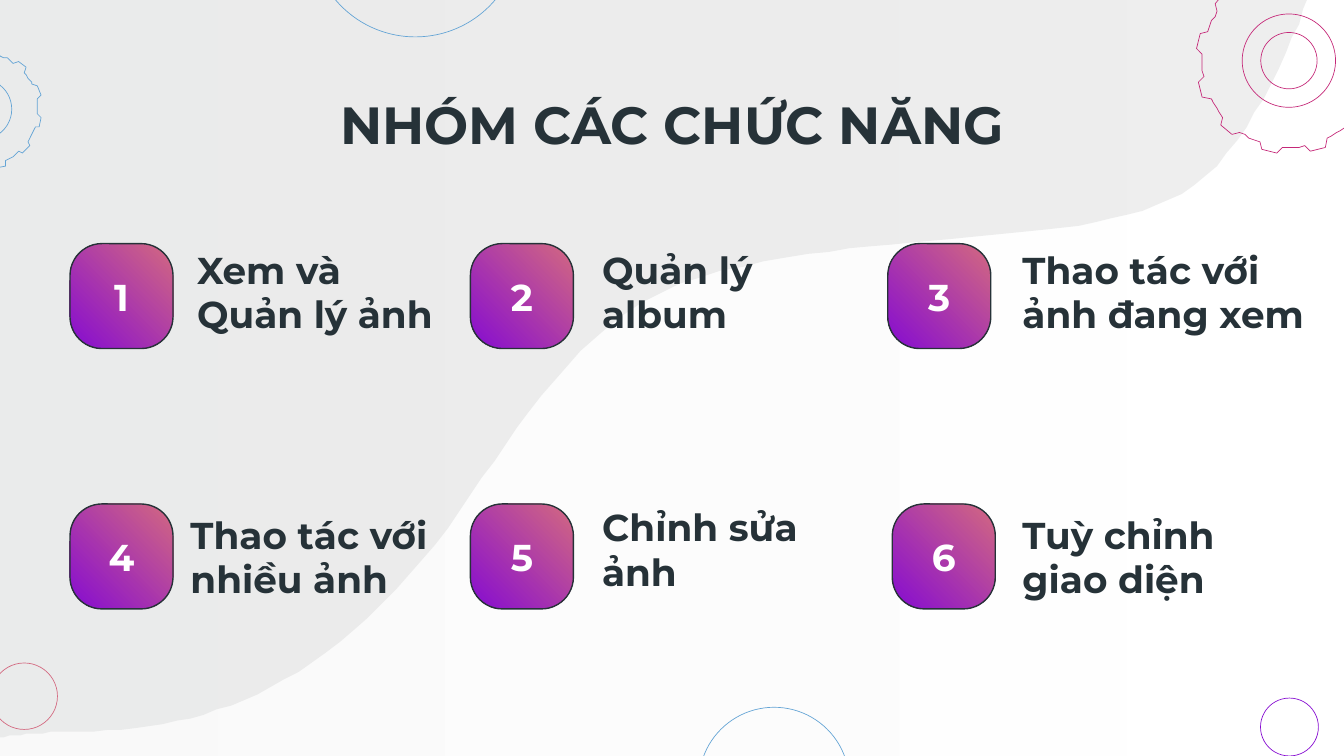
from math import cos, radians, sin

from lxml.etree import SubElement
from pptx import Presentation
from pptx.dml.color import RGBColor
from pptx.enum.shapes import MSO_SHAPE as SHAPE
from pptx.enum.text import MSO_ANCHOR as ANCHOR, PP_ALIGN as ALIGN
from pptx.oxml.ns import qn
from pptx.util import Pt

COLORS = {
    "ink": "263238", "white": "FFFFFF", "mist": "F3F3F3", "wave": "D6D7D7",
    "rose": "D36980", "violet": "860CD1", "blue": "63A4D5", "pink": "C52878",
}
FONT = "Montserrat"
TILE_SIZE = (55.2, 56.2)

# Number: tile left, tile top, label left, label top, label width, label height, label
FUNCTIONS = [
    (37.5, 130.5, 98.5, 126.7, 144, 59, "Xem và Quản lý ảnh"),
    (252, 130.5, 315.5, 126.7, 144, 59, "Quản lý album"),
    (475.6, 130.5, 540.7, 126.7, 168.5, 59, "Thao tác với ảnh đang xem"),
    (37.5, 270, 95, 270, 144, 56.2, "Thao tác với nhiều ảnh"),
    (252, 270, 315.5, 270, 144, 48.2, "Chỉnh sửa ảnh"),
    (478, 270, 540.7, 270, 144, 56.2, "Tuỳ chỉnh giao diện"),
]
# Center x, center y, radius, color
RINGS = [
    (690.8, 389.5, 15.5, "violet"),
    (13, 373, 17.8, "rose"),
    (414.7, 419.2, 40.3, "blue"),
    (222.5, -36.2, 56, "blue"),
    (690.5, 32.5, 15.1, "pink"),
]
# Center x, center y, outer radius, color
GEARS = [(-10, 58.5, 32.6, "blue"), (690.5, 32.5, 50, "pink")]

WAVE_START = [(-34.6, 406.8), (-13.7, -69.8), (712, -37.4)]
WAVE_CURVES = [
    [(710, -30.2), (681, 82.8), (626.4, 107.3)],
    [(569.5, 132.5), (480.2, 122.4), (385.9, 145.4)],
    [(291.6, 167.8), (267.1, 264.2), (204.5, 324)],
    [(142.6, 383.8), (90.7, 391.7), (26.6, 392.4)],
    [(-0.7, 393.1), (-20.2, 399.6), (-34.6, 406.8)],
]


def rgb(name):
    return RGBColor.from_string(COLORS[name])


def set_alpha(fill, percent):
    for color in fill._xPr.iter(qn("a:srgbClr")):
        SubElement(color, qn("a:alpha")).set("val", str(percent * 1000))


def set_gradient(shape, first, last, angle):
    shape.fill.gradient()
    shape.fill.gradient_angle = angle
    for stop, name in zip(shape.fill.gradient_stops, (first, last)):
        stop.color.rgb = rgb(name)


def set_line(shape, name, width):
    shape.line.color.rgb = rgb(name)
    shape.line.width = Pt(width)


def add_preset(page, kind, left, top, width, height):
    shape = page.shapes.add_shape(kind, Pt(left), Pt(top), Pt(width), Pt(height))
    shape.shadow.inherit = False
    return shape


def add_outline(page, points):
    builder = page.shapes.build_freeform(*points[0], scale=Pt(1))
    builder.add_line_segments(points[1:], close=True)
    shape = builder.convert_to_shape()
    shape.shadow.inherit = False
    return shape


def write(box, text, size=20, color="ink", align=ALIGN.LEFT, inset=7.2):
    frame = box.text_frame
    frame.word_wrap = True
    frame.vertical_anchor = ANCHOR.MIDDLE
    frame.margin_left = frame.margin_right = Pt(inset)
    frame.margin_top = frame.margin_bottom = Pt(inset)
    para = frame.paragraphs[0]
    para.alignment = align
    span = para.add_run()
    span.text = text
    span.font.name = FONT
    span.font.size = Pt(size)
    span.font.bold = True
    span.font.color.rgb = rgb(color)


def bezier(start, first, second, end, steps=24):
    """Points along a cubic curve, without its start."""
    points = []
    for step in range(1, steps + 1):
        t = step / steps
        weights = ((1 - t) ** 3, 3 * t * (1 - t) ** 2, 3 * t * t * (1 - t), t ** 3)
        points.append(tuple(
            sum(w * p for w, p in zip(weights, axis))
            for axis in zip(start, first, second, end)))
    return points


def add_backdrop(page):
    veil = add_preset(page, SHAPE.RECTANGLE, -5, -5, 730, 415)
    set_gradient(veil, "white", "mist", 180)
    set_alpha(veil.fill, 41)
    veil.line.fill.background()

    points = list(WAVE_START)
    for curve in WAVE_CURVES:
        points += bezier(points[-1], *curve)
    wave = add_outline(page, points)
    wave.fill.solid()
    wave.fill.fore_color.rgb = rgb("wave")
    set_alpha(wave.fill, 41)
    wave.line.fill.background()


def add_ring(page, x, y, radius, color):
    ring = add_preset(page, SHAPE.OVAL, x - radius, y - radius, 2 * radius, 2 * radius)
    ring.fill.background()
    set_line(ring, color, 0.36)


def add_gear(page, x, y, radius, color, teeth=12):
    base = 0.93 * radius
    profile = [(4.5, base), (7.4, radius), (16.6, radius)]
    profile += [(angle, base) for angle in (19.2, 23, 27, 31)]
    points = []
    for tooth in range(teeth):
        for offset, reach in profile:
            angle = radians(tooth * 360 / teeth + offset)
            points.append((x + reach * cos(angle), y + reach * sin(angle)))
    gear = add_outline(page, points)
    gear.fill.background()
    set_line(gear, color, 0.36)
    add_ring(page, x, y, radius / 2, color)


def add_tile(page, left, top, number):
    tile = add_preset(page, SHAPE.ROUNDED_RECTANGLE, left, top, *TILE_SIZE)
    tile.adjustments[0] = 0.31
    set_gradient(tile, "rose", "violet", 225)
    set_line(tile, "ink", 0.75)
    write(tile, str(number), color="white", align=ALIGN.CENTER)


def add_label(page, left, top, width, height, text):
    box = page.shapes.add_textbox(Pt(left), Pt(top), Pt(width), Pt(height))
    write(box, text)


def set_title(page, text):
    title = page.shapes.title
    title.left, title.top, title.width, title.height = Pt(56), Pt(52), Pt(608), Pt(29)
    write(title, text, size=28, align=ALIGN.CENTER)
    title.element.getparent().append(title.element)  # bring above the backdrop


def main():
    deck = Presentation()
    deck.slide_width, deck.slide_height = Pt(720), Pt(405)
    page = deck.slides.add_slide(deck.slide_layouts[5])

    add_backdrop(page)
    for ring in RINGS:
        add_ring(page, *ring)
    for gear in GEARS:
        add_gear(page, *gear)
    set_title(page, "NHÓM CÁC CHỨC NĂNG")
    for number, (left, top, *label) in enumerate(FUNCTIONS, start=1):
        add_tile(page, left, top, number)
        add_label(page, *label)

    deck.save("out.pptx")


if __name__ == "__main__":
    main()
